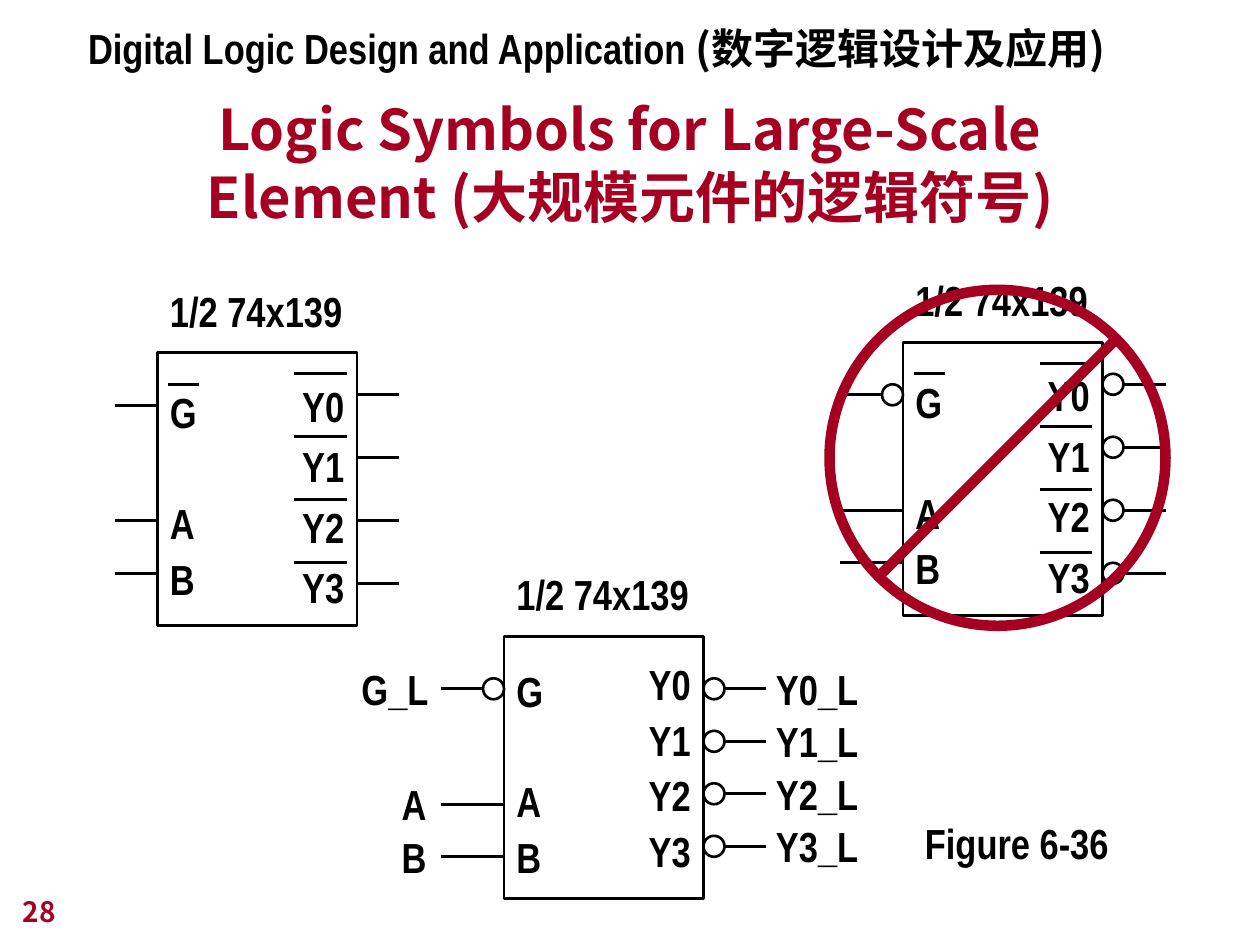
from lxml import etree
from pptx import Presentation
from pptx.dml.color import RGBColor
from pptx.enum.shapes import MSO_CONNECTOR, MSO_SHAPE
from pptx.enum.text import MSO_ANCHOR, MSO_AUTO_SIZE, PP_ALIGN
from pptx.oxml.ns import qn
from pptx.util import Pt

BLACK = RGBColor(0x00, 0x00, 0x00)
CRIMSON = RGBColor(0xA5, 0x00, 0x21)
LATIN = "Arial Narrow"
CJK = "Noto Sans CJK JP"
LEFT, CENTER = PP_ALIGN.LEFT, PP_ALIGN.CENTER
TOP, BOTTOM = MSO_ANCHOR.TOP, MSO_ANCHOR.BOTTOM

# Symbol geometry, relative to the body of a decoder
BODY_WIDTH = 114
STUB = 24
BUBBLE = 12
INPUT_PINS = {"G": 30, "A": 96, "B": 126}
OUTPUTS = ["Y0", "Y1", "Y2", "Y3"]
LABEL_HEIGHT = 36


def write(frame, paragraphs, size=24, color=BLACK, font=LATIN, align=LEFT,
          anchor=TOP, wrap=False, spacing=None):
    """Fill a text frame; each paragraph is a string or a list of (text, font)."""
    frame.word_wrap = wrap
    frame.auto_size = MSO_AUTO_SIZE.NONE
    frame.vertical_anchor = anchor
    for index, content in enumerate(paragraphs):
        paragraph = frame.add_paragraph() if index else frame.paragraphs[0]
        paragraph.alignment = align
        if spacing:
            paragraph.line_spacing = spacing
        runs = [(content, font)] if isinstance(content, str) else content
        for text, typeface in runs:
            run = paragraph.add_run()
            run.text = text
            run.font.size = Pt(size)
            run.font.bold = True
            run.font.color.rgb = color
            run.font.name = typeface
            if typeface == CJK:
                east_asian = etree.SubElement(run.font._element, qn("a:ea"))
                east_asian.set("typeface", CJK)


def label(shapes, x, y, width, height, paragraphs, **style):
    box = shapes.add_textbox(Pt(x), Pt(y), Pt(width), Pt(height))
    write(box.text_frame, paragraphs, **style)
    return box.text_frame


def line(shapes, x1, y1, x2, y2, color=BLACK, weight=1.5):
    stroke = shapes.add_connector(MSO_CONNECTOR.STRAIGHT,
                                  Pt(x1), Pt(y1), Pt(x2), Pt(y2))
    stroke.line.color.rgb = color
    stroke.line.width = Pt(weight)
    etree.SubElement(stroke._element.spPr, qn("a:effectLst"))


def outline(shapes, kind, x, y, width, height, color=BLACK, weight=1.5):
    shape = shapes.add_shape(kind, Pt(x), Pt(y), Pt(width), Pt(height))
    shape.shadow.inherit = False
    shape.fill.background()
    shape.line.color.rgb = color
    shape.line.width = Pt(weight)


def bubble(shapes, x, pin_y):
    outline(shapes, MSO_SHAPE.OVAL, x, pin_y - BUBBLE / 2, BUBBLE, BUBBLE)


def decoder(slide, x, y, height, first_output, pitch, bubbles, overbars):
    """Draw half a decoder; return the y of its input and output pins."""
    shapes = slide.shapes.add_group_shape().shapes
    right = x + BODY_WIDTH
    outline(shapes, MSO_SHAPE.RECTANGLE, x, y, BODY_WIDTH, height)
    label(shapes, x, y - 42, 113, LABEL_HEIGHT, ["1/2 74x139"])
    inputs = {name: y + offset for name, offset in INPUT_PINS.items()}
    outputs = {name: y + first_output + i * pitch for i, name in enumerate(OUTPUTS)}
    gap = BUBBLE if bubbles else 0

    # Pin names
    names = label(shapes, x, y + (13 if overbars else 10), 29.5, 134,
                  list(INPUT_PINS), spacing=1.1)
    names.paragraphs[1].space_before = Pt(31.7)
    label(shapes, x + 75.6, y + 6.5, 38.2, 145 if overbars else 134, OUTPUTS,
          spacing=1.2 if overbars else 1.1)

    # Input pins
    for name, pin_y in inputs.items():
        end = x - gap if name == "G" else x
        line(shapes, x - gap - STUB, pin_y, end, pin_y)
    if bubbles:
        bubble(shapes, x - BUBBLE, inputs["G"])
    if overbars:
        line(shapes, x + 6, inputs["G"] - 12, x + 24, inputs["G"] - 12)

    # Output pins
    for pin_y in outputs.values():
        line(shapes, right + gap, pin_y, right + gap + STUB, pin_y)
        if bubbles:
            bubble(shapes, right, pin_y)
        if overbars:
            line(shapes, right - 36, pin_y - 12, right - 6, pin_y - 12)
    return inputs, outputs


def signal_names(slide, x, inputs, outputs):
    """Name the signals outside a decoder whose body starts at x."""
    shapes = slide.shapes.add_group_shape().shapes
    for name, pin_y in inputs.items():
        text, width, end = ("G_L", 52.5, x - 36) if name == "G" else (name, 28, x - 37.5)
        label(shapes, end - width, pin_y - 18, width, LABEL_HEIGHT, [text])
    for name, pin_y in outputs.items():
        label(shapes, x + 148.3, pin_y - 18, 61.2, LABEL_HEIGHT, [name + "_L"])


def prohibition(slide, x, y, diameter):
    shapes = slide.shapes.add_group_shape().shapes
    outline(shapes, MSO_SHAPE.OVAL, x, y, diameter, diameter, CRIMSON, 6)
    line(shapes, x + 30, y + diameter - 30, x + diameter - 30, y + 30, CRIMSON, 6)


def headings(slide):
    title = slide.shapes.title
    title.left, title.top, title.width, title.height = Pt(54), Pt(71.3), Pt(612), Pt(59.8)
    write(title.text_frame, ["Logic Symbols for Large-Scale Element (大规模元件的逻辑符号)"],
          size=32, color=CRIMSON, font=CJK, align=CENTER, anchor=BOTTOM,
          wrap=True, spacing=Pt(38.4))
    title.text_frame.margin_bottom = 0

    course = [("Digital Logic Design and Application ", LATIN), ("(数字逻辑设计及应用)", CJK)]
    header = label(slide.shapes, 43.2, 7.2, 605.5, 36, [course],
                   wrap=True, spacing=Pt(28.8))
    header.margin_top = Pt(5.6)


def main():
    deck = Presentation()
    deck.slide_width, deck.slide_height = Pt(720), Pt(540)
    slide = deck.slides.add_slide(deck.slide_layouts[5])
    headings(slide)

    # Active-low names without bubbles, then the wrong double negation
    decoder(slide, 90, 201.6, 156, 24, 36, bubbles=False, overbars=True)
    decoder(slide, 516, 195.6, 156, 24, 36, bubbles=True, overbars=True)
    prohibition(slide, 474, 165.6, 192)

    # Preferred symbol with bubbles and named signals
    inputs, outputs = decoder(slide, 288, 363.6, 150, 30, 30,
                              bubbles=True, overbars=False)
    signal_names(slide, 288, inputs, outputs)

    # Caption and page number
    label(slide.shapes, 521.3, 463.7, 119.5, LABEL_HEIGHT, ["Figure 6-36"], align=CENTER)
    label(slide.shapes, 5.8, 498.2, 149.8, 36, ["28"], size=16, color=CRIMSON,
          font=CJK, anchor=BOTTOM, wrap=True)
    deck.save("out.pptx")


if __name__ == "__main__":
    main()
